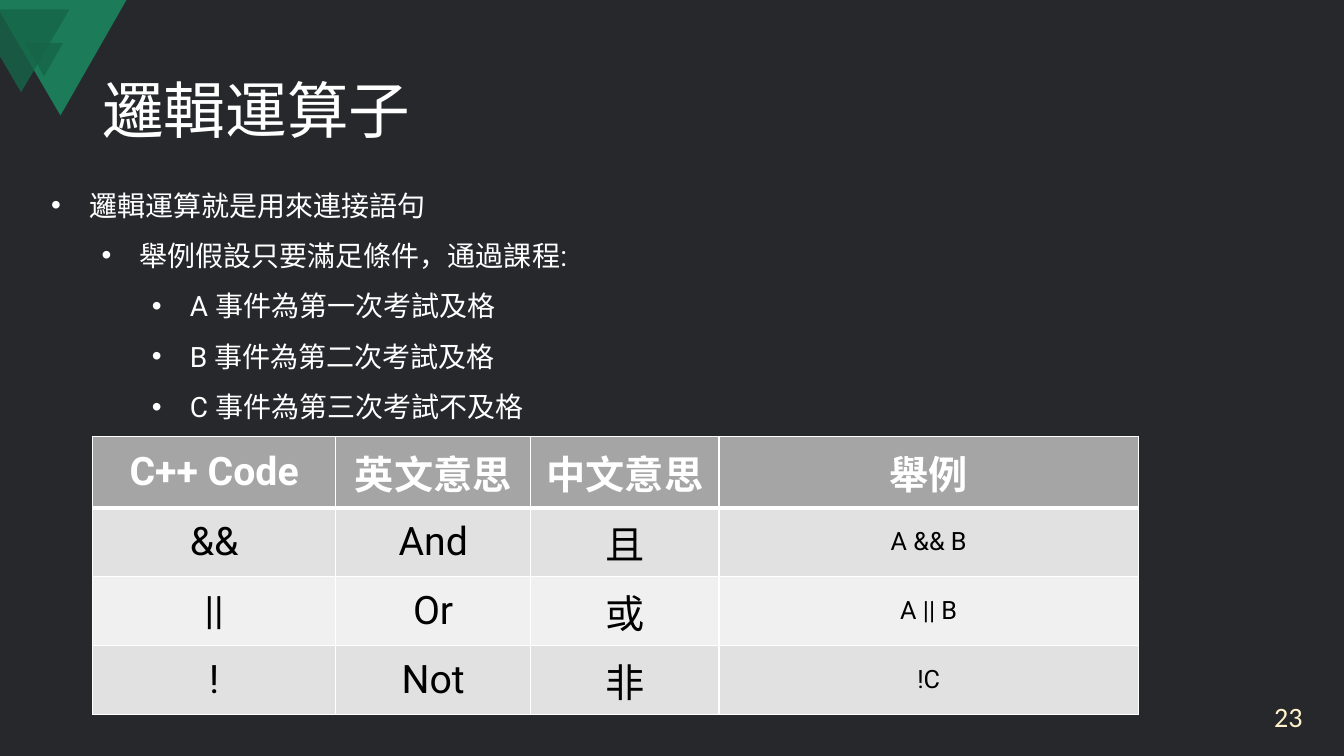
"""Build a slide on logical operators with a bullet list and a table."""
from lxml import etree
from pptx import Presentation
from pptx.dml.color import RGBColor
from pptx.enum.shapes import MSO_SHAPE
from pptx.enum.text import MSO_ANCHOR, MSO_AUTO_SIZE, PP_ALIGN
from pptx.oxml.ns import qn
from pptx.util import Pt

MID, TOP = MSO_ANCHOR.MIDDLE, MSO_ANCHOR.TOP
LEFT, MIDDLE, RIGHT = PP_ALIGN.LEFT, PP_ALIGN.CENTER, PP_ALIGN.RIGHT
GROW = MSO_AUTO_SIZE.SHAPE_TO_FIT_TEXT
TRIANGLE = MSO_SHAPE.ISOSCELES_TRIANGLE

WHITE, BLACK, DARK, CREAM = "FFFFFF", "000000", "27282C", "FFF2CC"
GREEN, SHADE, HEAD = "1C7C5A", "166548", "A5A5A5"
BANDS = ["F0F0F0", "E1E1E1"]

TITLE = "邏輯運算子"
NUMBER = "23"
BULLETS = [
    (0, "邏輯運算就是用來連接語句"),
    (1, "舉例假設只要滿足條件，通過課程:"),
    (2, "A 事件為第一次考試及格"),
    (2, "B 事件為第二次考試及格"),
    (2, "C 事件為第三次考試不及格"),
]
ROWS = [
    ("C++ Code", "英文意思", "中文意思", "舉例"),
    ("&&", "And", "且", "A && B"),
    ("||", "Or", "或", "A || B"),
    ("!", "Not", "非", "!C"),
]
WIDTHS = [173.5, 139.5, 134.5, 299.5]
HEIGHTS = [51, 49.2, 49.2, 49.2]
LARGE = [(0, -1.5), (91.2, -1.5), (43.2, 82.5), (0, 8.6)]
SMALL = [(0, 6.8), (49.6, 6.8), (15.1, 66), (0, 40.3)]


def color(code):
    return RGBColor.from_string(code)


def paint(shape, code, alpha=100):
    shape.shadow.inherit = False
    shape.fill.solid()
    shape.fill.fore_color.rgb = color(code)
    shape.line.fill.background()
    if alpha < 100:
        tone = shape.fill._xPr.find(".//" + qn("a:srgbClr"))
        etree.SubElement(tone, qn("a:alpha")).set("val", str(alpha * 1000))


def outline(shapes, points, code, alpha=100):
    spots = [(Pt(x), Pt(y)) for x, y in points]
    pen = shapes.build_freeform(*spots[0])
    pen.add_line_segments(spots[1:], close=True)
    paint(pen.convert_to_shape(), code, alpha)


def write(para, text, size, font, code=WHITE, align=LEFT, bold=False):
    para.alignment = align
    run = para.add_run()
    run.text = text
    run.font.size = Pt(size)
    run.font.name = font
    run.font.bold = bold
    run.font.color.rgb = color(code)


def add_box(shapes, place, anchor):
    box = shapes.add_textbox(*map(Pt, place))
    frame = box.text_frame
    frame.word_wrap = True
    frame.vertical_anchor = anchor
    return frame


def add_bullets(shapes):
    frame = add_box(shapes, (29.5, 118.8, 900, 189.4), TOP)
    frame.auto_size = GROW
    for i, (level, text) in enumerate(BULLETS):
        para = frame.add_paragraph() if i else frame.paragraphs[0]
        para.level = level
        para.line_spacing = 1.5
        write(para, text, 20, "Roboto")
        props = para._p.get_or_add_pPr()
        props.set("marL", str(Pt(27 + 36 * level)))
        props.set("indent", str(Pt(-27)))
        etree.SubElement(props, qn("a:buFont")).set("typeface", "Arial")
        etree.SubElement(props, qn("a:buChar")).set("char", "•")


def add_edges(cell, base):
    props = cell._tc.get_or_add_tcPr()
    for i, (side, width) in enumerate(zip("LRTB", base)):
        edge = etree.Element(qn("a:ln" + side), w=str(Pt(width)))
        fill = etree.SubElement(edge, qn("a:solidFill"))
        etree.SubElement(fill, qn("a:srgbClr")).set("val", WHITE)
        props.insert(i, edge)


def add_grid(shapes):
    place = (66.2, 311.8, sum(WIDTHS), sum(HEIGHTS))
    grid = shapes.add_table(len(ROWS), len(WIDTHS), *map(Pt, place)).table
    for col, width in zip(grid.columns, WIDTHS):
        col.width = Pt(width)
    for r, (row, height) in enumerate(zip(ROWS, HEIGHTS)):
        grid.rows[r].height = Pt(height)
        for c, text in enumerate(row):
            cell = grid.cell(r, c)
            cell.vertical_anchor = MID
            cell.fill.solid()
            cell.fill.fore_color.rgb = color(BANDS[r % 2] if r else HEAD)
            size = 18 if r and c == len(row) - 1 else 28
            write(cell.text_frame.paragraphs[0], text, size, "Roboto",
                  BLACK if r else WHITE, MIDDLE, r == 0)
            add_edges(cell, (1, 1, 3 if r == 1 else 1, 1 if r else 3))


def main():
    deck = Presentation()
    deck.slide_width, deck.slide_height = Pt(960), Pt(540)
    slide = deck.slides.add_slide(deck.slide_layouts[6])
    slide.background.fill.solid()
    slide.background.fill.fore_color.rgb = color(DARK)
    shapes = slide.shapes

    outline(shapes, LARGE, GREEN)
    notch = shapes.add_shape(TRIANGLE, Pt(18), Pt(30.7), Pt(27), Pt(23.8))
    notch.rotation = 180
    paint(notch, SHADE, 80)
    outline(shapes, SMALL, SHADE, 80)

    title = add_box(shapes, (66, 28.8, 828, 104.4), MID).paragraphs[0]
    title.line_spacing = 0.9
    write(title, TITLE, 44, "Comic Neue")
    number = add_box(shapes, (721.5, 497, 216, 28.8), MID).paragraphs[0]
    write(number, NUMBER, 20, "Calibri", CREAM, RIGHT)
    add_bullets(shapes)
    add_grid(shapes)
    deck.save("out.pptx")


if __name__ == "__main__":
    main()
